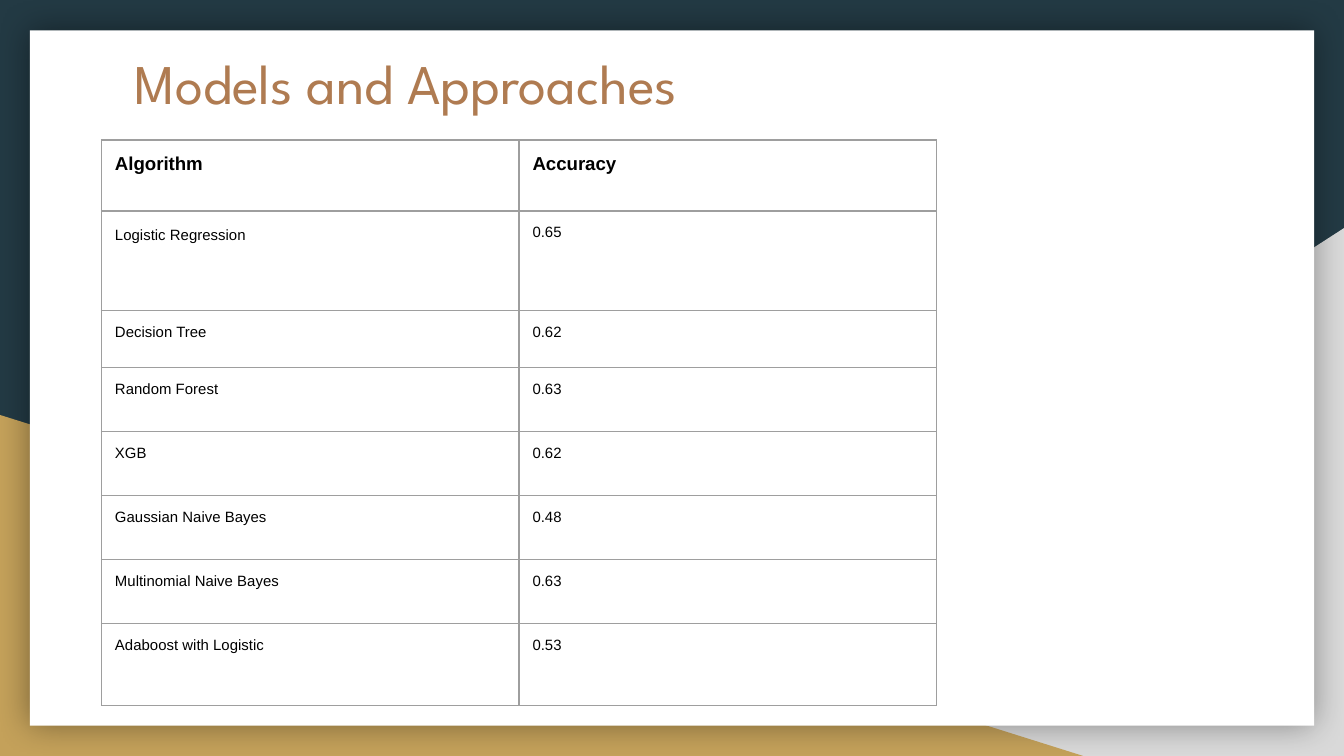
from dataclasses import dataclass

from lxml import etree
from pptx import Presentation
from pptx.dml.color import RGBColor
from pptx.enum.shapes import MSO_SHAPE
from pptx.enum.text import MSO_ANCHOR, PP_ALIGN
from pptx.oxml import parse_xml
from pptx.oxml.ns import qn
from pptx.util import Pt

RECTANGLE = MSO_SHAPE.RECTANGLE
RIGHT_TRIANGLE = MSO_SHAPE.RIGHT_TRIANGLE
TOP = MSO_ANCHOR.TOP
LEFT = PP_ALIGN.LEFT
DRAWING_NS = "http://schemas.openxmlformats.org/drawingml/2006/main"
TITLE_ONLY = 5
SLIDE_WIDTH, SLIDE_HEIGHT = 720, 405
INSET = 7.2


@dataclass(frozen=True)
class Theme:
    background: str = "233A44"
    grey: str = "D9D9D9"
    gold: str = "C4A15A"
    card: str = "FFFFFF"
    title: str = "AF7B51"
    text: str = "000000"
    border: str = "9E9E9E"
    title_font: str = "League Spartan"
    body_font: str = "Arial"
    title_size: float = 30
    header_size: float = 10
    body_size: float = 8
    border_width: float = 0.75


THEME = Theme()

HEADER = ("Algorithm", "Accuracy")
RESULTS = [
    ("Logistic Regression", "0.65"),
    ("Decision Tree", "0.62"),
    ("Random Forest", "0.63"),
    ("XGB", "0.62"),
    ("Gaussian Naive Bayes", "0.48"),
    ("Multinomial Naive Bayes", "0.63"),
    ("Adaboost with Logistic", "0.53"),
]
COLUMN_WIDTH = 223.7
ROW_HEIGHTS = [38, 53.3, 30.6] + [34.3] * 4 + [43.9]


def style_font(paragraph, name, size, color, bold=False):
    paragraph.font.name = name
    paragraph.font.size = Pt(size)
    paragraph.font.bold = bold
    paragraph.font.color.rgb = RGBColor.from_string(color)


def add_panel(slide, kind, left, top, width, height, color):
    panel = slide.shapes.add_shape(kind, Pt(left), Pt(top), Pt(width), Pt(height))
    panel.shadow.inherit = False
    panel.fill.solid()
    panel.fill.fore_color.rgb = RGBColor.from_string(color)
    panel.line.fill.background()
    return panel


def add_glow_shadow(panel, blur, opacity):
    effects = panel.element.spPr.find(qn("a:effectLst"))
    effects.append(parse_xml(
        f'<a:outerShdw xmlns:a="{DRAWING_NS}" blurRad="{Pt(blur)}" dist="0" dir="0" '
        f'algn="ctr" rotWithShape="0"><a:srgbClr val="000000">'
        f'<a:alpha val="{opacity * 1000}"/></a:srgbClr></a:outerShdw>'))


def add_backdrop(slide):
    slide.background.fill.solid()
    slide.background.fill.fore_color.rgb = RGBColor.from_string(THEME.background)
    width, height = 437.8, 282.8
    corner = add_panel(slide, RIGHT_TRIANGLE, SLIDE_WIDTH - width,
                       SLIDE_HEIGHT - height, width, height, THEME.grey)
    corner.element.spPr.xfrm.set("flipH", "1")
    height = 182.7
    add_panel(slide, RIGHT_TRIANGLE, 0, SLIDE_HEIGHT - height, 580.3, height, THEME.gold)
    margin = 16
    card = add_panel(slide, RECTANGLE, margin, margin + 0.2, SLIDE_WIDTH - 2 * margin,
                     SLIDE_HEIGHT - 2 * margin - 0.4, THEME.card)
    add_glow_shadow(card, blur=18, opacity=40)


def set_title(slide, text):
    title = slide.shapes.title
    slide.shapes.element.append(title.element)
    title.left, title.top, title.width, title.height = Pt(64.8), Pt(18.7), Pt(591), Pt(44.6)
    frame = title.text_frame
    frame.text = text
    frame.word_wrap = True
    frame.vertical_anchor = TOP
    frame.margin_left = frame.margin_right = Pt(INSET)
    frame.margin_top = frame.margin_bottom = Pt(INSET)
    paragraph = frame.paragraphs[0]
    paragraph.alignment = LEFT
    style_font(paragraph, THEME.title_font, THEME.title_size, THEME.title)


def set_borders(cell):
    properties = cell._tc.get_or_add_tcPr()
    for position, side in enumerate(("lnL", "lnR", "lnT", "lnB")):
        line = etree.Element(qn(f"a:{side}"), w=str(Pt(THEME.border_width)))
        fill = etree.SubElement(line, qn("a:solidFill"))
        etree.SubElement(fill, qn("a:srgbClr"), val=THEME.border)
        properties.insert(position, line)


def fill_cell(cell, text, size, bold):
    cell.text = text
    cell.fill.background()
    cell.vertical_anchor = TOP
    cell.margin_left = cell.margin_right = Pt(INSET)
    cell.margin_top = cell.margin_bottom = Pt(INSET)
    paragraph = cell.text_frame.paragraphs[0]
    style_font(paragraph, THEME.body_font, size, THEME.text, bold)
    set_borders(cell)


def add_results_table(slide):
    rows = [HEADER] + RESULTS
    table = slide.shapes.add_table(
        len(rows), len(HEADER), Pt(54.4), Pt(75),
        Pt(COLUMN_WIDTH * len(HEADER)), Pt(sum(ROW_HEIGHTS))).table
    table.horz_banding = False
    for column in table.columns:
        column.width = Pt(COLUMN_WIDTH)
    for index, (values, height) in enumerate(zip(rows, ROW_HEIGHTS)):
        table.rows[index].height = Pt(height)
        is_header = index == 0
        size = THEME.header_size if is_header else THEME.body_size
        for column, text in enumerate(values):
            fill_cell(table.cell(index, column), text, size, is_header)
    first_model = table.cell(1, 0).text_frame.paragraphs[0]
    first_model.line_spacing = 1.15
    first_model.space_after = Pt(16)


def main():
    presentation = Presentation()
    presentation.slide_width = Pt(SLIDE_WIDTH)
    presentation.slide_height = Pt(SLIDE_HEIGHT)
    slide = presentation.slides.add_slide(presentation.slide_layouts[TITLE_ONLY])
    add_backdrop(slide)
    set_title(slide, "Models and Approaches")
    add_results_table(slide)
    presentation.save("out.pptx")


if __name__ == "__main__":
    main()
